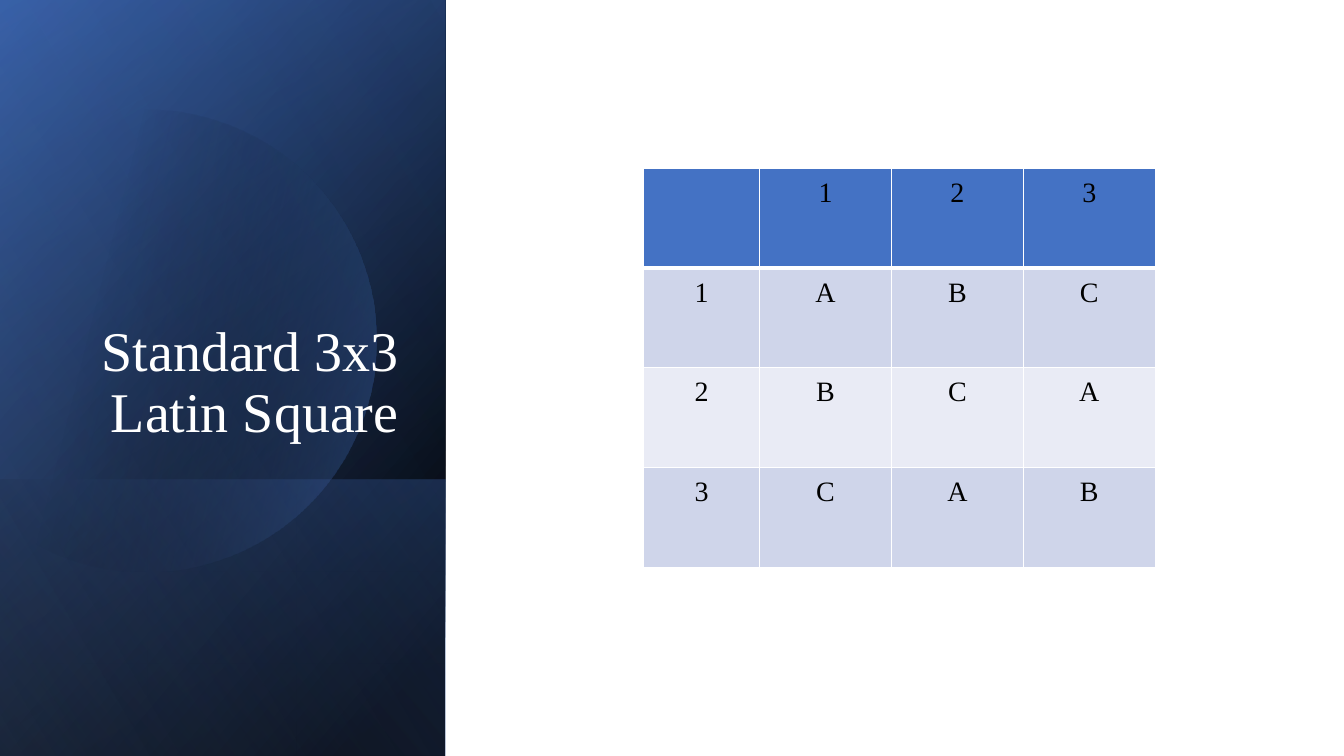
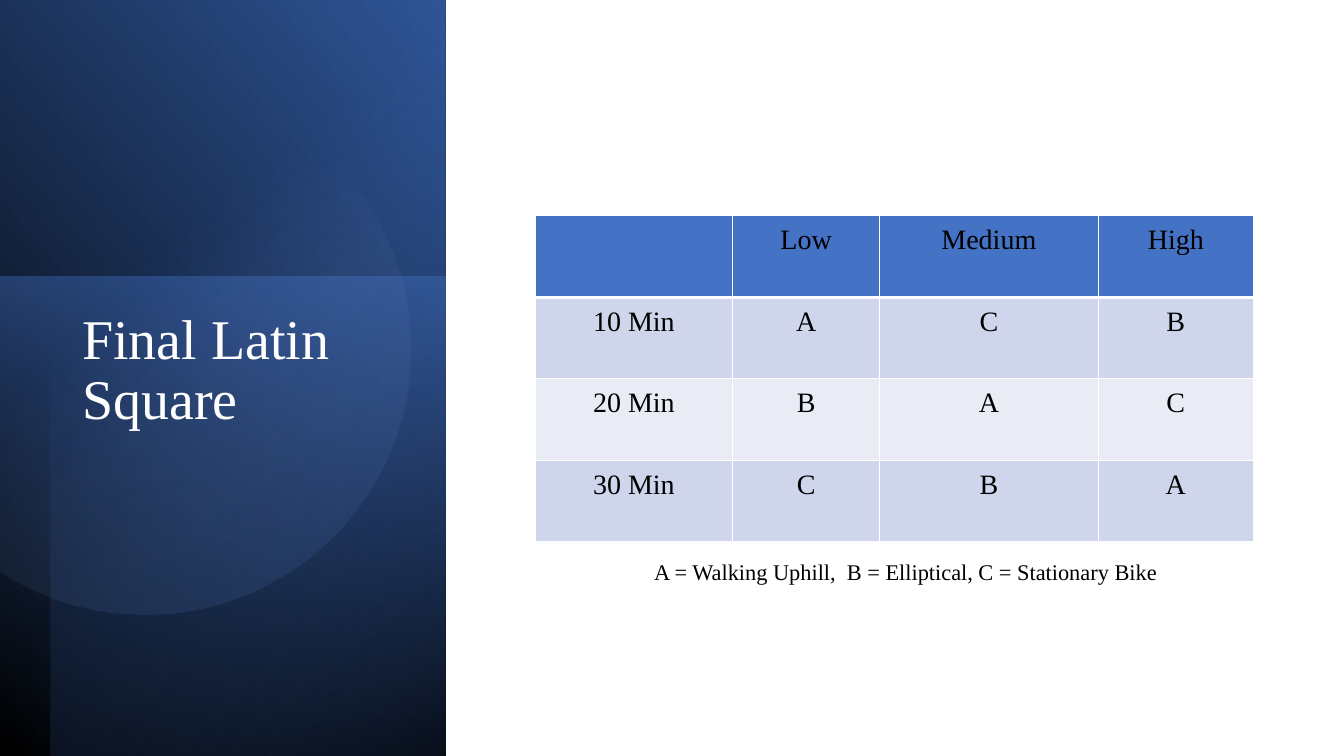
from math import acos, cos, sin

from pptx import Presentation
from pptx.dml.color import RGBColor
from pptx.enum.shapes import MSO_SHAPE as Shape
from pptx.enum.text import MSO_ANCHOR as Anchor, PP_ALIGN as Align
from pptx.oxml import parse_xml
from pptx.oxml.ns import nsdecls
from pptx.util import Inches, Pt

# The page is a grid of 160 columns by 90 rows, each a twelfth of an inch.
UNIT = Inches(1) / 12
PANEL = (0, 0, 53, 90)
FONT = "Times New Roman"
BLACK, WHITE = "000000", "FFFFFF"
BLUE, DEEP_BLUE, PALE_BLUE, NAVY = "4472C4", "2F5597", "8FAADC", "203864"
BAND_FILLS = ("CFD5EA", "E9EBF5")


def rgb(value):
    return RGBColor.from_string(value)


def grid(*lengths):
    """Turn grid units into slide lengths."""
    return [round(length * UNIT) for length in lengths]


def paint_gradient(shape, angle, *stops):
    """Fill with stops of (position %, colour, opacity %); angle runs clockwise."""
    stop_xml = "".join(
        f'<a:gs pos="{place * 1000}"><a:srgbClr val="{color}">'
        f'<a:alpha val="{opacity * 1000}"/></a:srgbClr></a:gs>'
        for place, color, opacity in stops)
    gradient = parse_xml(
        f'<a:gradFill {nsdecls("a")} rotWithShape="1"><a:gsLst>{stop_xml}</a:gsLst>'
        f'<a:lin ang="{angle * 60000}" scaled="0"/></a:gradFill>')
    shape.shadow.inherit = False
    shape.line.fill.background()
    shape.fill.background()
    properties = shape._element.spPr
    properties.replace(properties.find("{*}noFill"), gradient)


def add_layer(page, box, angle, *stops):
    layer = page.shapes.add_shape(Shape.RECTANGLE, *grid(*box))
    paint_gradient(layer, angle, *stops)


def add_disc(page, center_x, center_y, radius, angle, *stops):
    """Draw a disc cut off by the left edge of the page."""
    steps = 120
    limit = acos(-center_x / radius)
    turns = [limit * (2 * step / steps - 1) for step in range(steps + 1)]
    points = [grid(center_x + radius * cos(turn), center_y + radius * sin(turn))
              for turn in turns]
    builder = page.shapes.build_freeform(*points[0])
    builder.add_line_segments(points[1:])
    paint_gradient(builder.convert_to_shape(), angle, *stops)


def style_text(frame, size, color, align):
    para = frame.paragraphs[0]
    para.alignment = align
    for span in para.runs:
        span.font.name = FONT
        span.font.size = Pt(size)
        span.font.bold = False
        span.font.color.rgb = rgb(color)
    return para


def add_text(page, box, text, size, color, align, anchor=Anchor.TOP):
    frame = page.shapes.add_textbox(*grid(*box)).text_frame
    frame.word_wrap = True
    frame.vertical_anchor = anchor
    frame.text = text
    return style_text(frame, size, color, align)


def add_title(page, box, text, align, anchor):
    add_text(page, box, text, 40, WHITE, align, anchor).line_spacing = 0.9


def border_cell(cell, widths):
    """Draw white borders; widths maps the sides L, R, T, B to points."""
    properties = cell._tc.get_or_add_tcPr()
    for index, (side, width) in enumerate(widths.items()):
        properties.insert(index, parse_xml(
            f'<a:ln{side} {nsdecls("a")} w="{Pt(width)}"><a:solidFill>'
            f'<a:srgbClr val="{WHITE}"/></a:solidFill></a:ln{side}>'))


def add_square(page, left, top, column_widths, row_height, rows):
    """Place a Latin square whose first row is the header."""
    box = grid(left, top, sum(column_widths), row_height * len(rows))
    table = page.shapes.add_table(len(rows), len(column_widths), *box).table
    table.first_row = table.horz_banding = False
    for column, width in zip(table.columns, grid(*column_widths)):
        column.width = width
    for r, texts in enumerate(rows):
        table.rows[r].height = grid(row_height)[0]
        for c, text in enumerate(texts):
            cell = table.cell(r, c)
            cell.margin_left = cell.margin_right = Inches(0.18)
            cell.margin_top = cell.margin_bottom = Inches(0.09)
            cell.text = text
            style_text(cell.text_frame, 20, BLACK, Align.CENTER)
            cell.fill.solid()
            cell.fill.fore_color.rgb = rgb(BAND_FILLS[(r - 1) % 2] if r else BLUE)
            border_cell(cell, {"L": 1, "R": 1, "T": 3 if r == 1 else 1,
                               "B": 1 if r else 3})


def add_standard_panel(page):
    add_layer(page, PANEL, 220, (8, BLACK, 100), (100, DEEP_BLUE, 100))
    add_layer(page, PANEL, 240, (0, BLACK, 0), (99, BLUE, 46))
    add_layer(page, (0, 57.1, 53, 32.9), 140, (2, BLUE, 29), (100, BLACK, 30))
    add_disc(page, 17.3, 40.6, 27.5, 14, (29, BLACK, 0), (100, BLUE, 43))
    add_layer(page, PANEL, 150, (0, BLACK, 0), (99, PALE_BLUE, 11))


def add_final_panel(page):
    add_layer(page, PANEL, 320, (0, BLACK, 100), (100, DEEP_BLUE, 100))
    add_layer(page, (0, 32.9, 53, 57.1), 100, (0, BLUE, 50), (100, NAVY, 0))
    add_layer(page, (6, 0, 47, 90), 230, (0, BLACK, 59), (69, BLUE, 0))
    add_disc(page, 17.2, 41.6, 31.6, 52, (39, PALE_BLUE, 0), (100, DEEP_BLUE, 26))


def build_standard_square(page):
    add_standard_panel(page)
    add_title(page, (7.7, 22.1, 40.9, 31.4), "Standard 3x3 Latin Square",
              Align.RIGHT, Anchor.BOTTOM)
    add_square(page, 76.6, 20, [13.8, 15.7, 15.7, 15.7], 11.9,
               [["", "1", "2", "3"], ["1", *"ABC"], ["2", *"BCA"], ["3", *"CAB"]])


def build_final_square(page):
    add_final_panel(page)
    add_title(page, (8.6, 36.4, 37.8, 40.3), "Final Latin Square",
              Align.LEFT, Anchor.TOP)
    add_square(page, 63.7, 25.7, [23.5, 17.5, 26, 18.5], 9.7,
               [["", "Low", "Medium", "High"], ["10 Min", *"ACB"],
                ["20 Min", *"BAC"], ["30 Min", *"CBA"]])
    add_text(page, (70.3, 65.8, 75, 4.4),
             "A = Walking Uphill,  B = Elliptical, C = Stationary Bike",
             16, BLACK, Align.CENTER)


def main():
    deck = Presentation()
    deck.slide_width, deck.slide_height = Inches(13.33), Inches(7.5)
    for build in (build_standard_square, build_final_square):
        build(deck.slides.add_slide(deck.slide_layouts[6]))
    deck.save("out.pptx")


if __name__ == "__main__":
    main()
